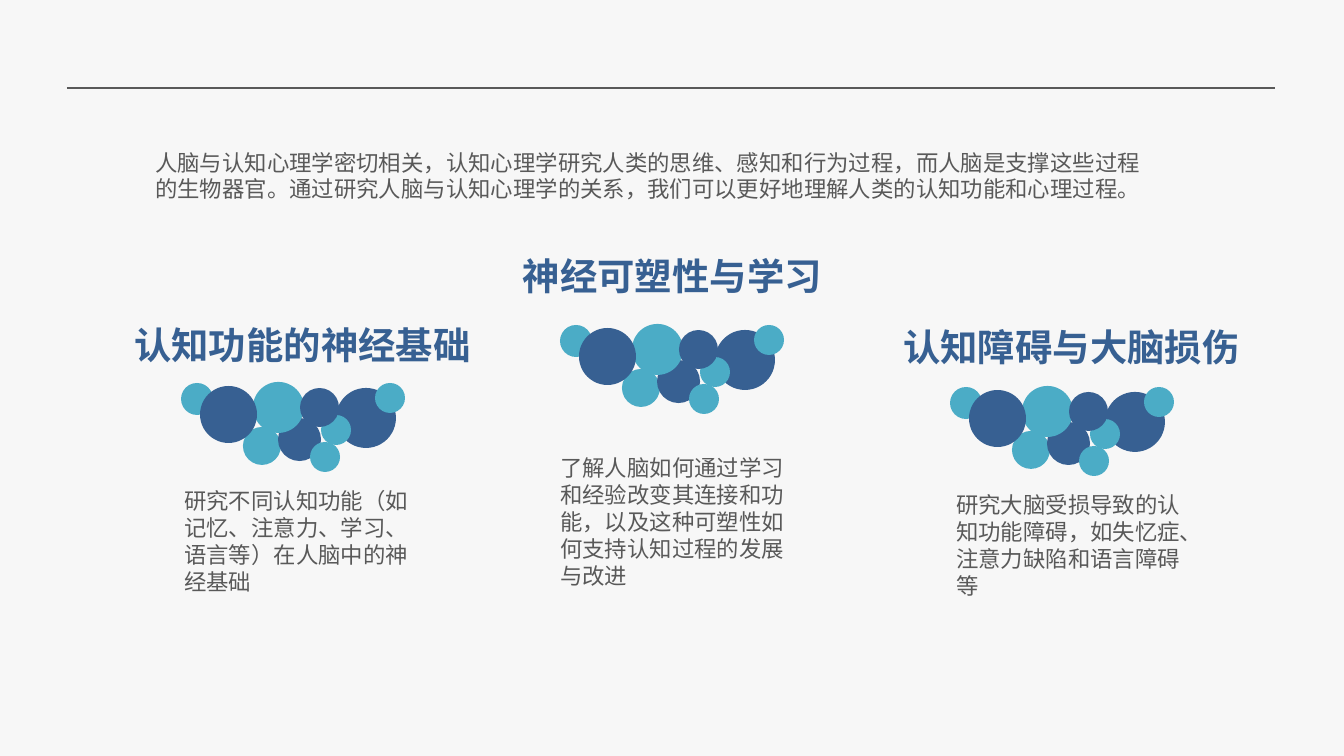
from lxml.etree import SubElement
from pptx import Presentation
from pptx.dml.color import RGBColor
from pptx.enum.shapes import MSO_CONNECTOR as Connector, MSO_SHAPE as Shape
from pptx.enum.text import MSO_AUTO_SIZE as AutoSize, PP_ALIGN as Align
from pptx.oxml.ns import qn
from pptx.util import Emu, Pt

EMU_PER_PX = 914400 / 134.4
NAVY, TEAL, GREY, PAPER = "376092", "4BACC6", "595959", "F7F7F7"


def px(length):
    return Emu(round(length * EMU_PER_PX))


def color(value):
    return RGBColor.from_string(value)


class SlideBuilder:
    font_name = "Noto Sans CJK SC"

    def __init__(self, slide):
        self.slide = slide
        slide.background.fill.solid()
        slide.background.fill.fore_color.rgb = color(PAPER)

    def rule(self, left, top, right):
        divider = self.slide.shapes.add_connector(
            Connector.STRAIGHT, px(left), px(top), px(right), px(top))
        divider.line.color.rgb = color(GREY)
        divider.line.width = Pt(0.75)
        SubElement(divider._element.spPr, qn("a:effectLst"))

    def text(self, box, lines, size=12, fill=GREY, bold=False, align=Align.LEFT, wrap=True):
        frame = self.slide.shapes.add_textbox(*map(px, box)).text_frame
        frame.word_wrap = wrap
        frame.auto_size = AutoSize.SHAPE_TO_FIT_TEXT
        for index, line in enumerate(lines):
            paragraph = frame.add_paragraph() if index else frame.paragraphs[0]
            paragraph.alignment = align
            paragraph.line_spacing = Pt(size * 1.2)
            run = paragraph.add_run()
            run.text = line
            run.font.size = Pt(size)
            run.font.bold = bold
            run.font.name = self.font_name
            run.font.color.rgb = color(fill)
            east_asian = SubElement(run.font._element, qn("a:ea"))
            east_asian.set("typeface", self.font_name)

    def heading(self, box, line):
        self.text(box, [line], 20, NAVY, True, Align.CENTER, False)

    def circle(self, group, kind, left, top, diameter, fill):
        shape = group.shapes.add_shape(kind, px(left), px(top), px(diameter), px(diameter))
        shape.shadow.inherit = False
        shape.fill.solid()
        shape.fill.fore_color.rgb = color(fill)
        shape.line.fill.background()
        return shape

    def cluster(self, left, top, bubbles):
        group = self.slide.shapes.add_group_shape()
        for dx, dy, diameter, fill, ringed in bubbles:
            x, y = left + dx, top + dy
            if ringed:
                ring = self.circle(group, Shape.DONUT, x, y, diameter, fill)
                ring.adjustments[0] = 0.05
                self.circle(group, Shape.OVAL, x + 1, y + 1, diameter - 2, fill)
            else:
                self.circle(group, Shape.OVAL, x, y, diameter, fill)


BUBBLES = [
    (155, 6, 60, NAVY, True),
    (0, 1, 32, TEAL, True),
    (62, 45, 38, TEAL, True),
    (194, 1, 30, TEAL, False),
    (140, 33, 30, TEAL, False),
    (97, 36, 43, NAVY, True),
    (129, 60, 30, TEAL, False),
    (72, 0, 51, TEAL, True),
    (119, 6, 39, NAVY, False),
    (19, 4, 57, NAVY, True),
]

INTRO = [
    "人脑与认知心理学密切相关，认知心理学研究人类的思维、感知和行为过程，而人脑是支撑这些过程",
    "的生物器官。通过研究人脑与认知心理学的关系，我们可以更好地理解人类的认知功能和心理过程。",
]

TOPICS = [
    ("认知功能的神经基础", (113, 316, 379, 59), (181, 382), (171, 481, 258, 122),
     "研究不同认知功能（如记忆、注意力、学习、语言等）在人脑中的神经基础"),
    ("神经可塑性与学习", (508, 247, 329, 59), (560, 324), (547, 448, 258, 149),
     "了解人脑如何通过学习和经验改变其连接和功能，以及这种可塑性如何支持认知过程的发展与改进"),
    ("认知障碍与大脑损伤", (888, 318, 367, 59), (950, 386), (943, 485, 258, 122),
     "研究大脑受损导致的认知功能障碍，如失忆症、注意力缺陷和语言障碍等"),
]


def main():
    deck = Presentation()
    deck.slide_width, deck.slide_height = px(1344), px(756)
    builder = SlideBuilder(deck.slides.add_slide(deck.slide_layouts[6]))
    builder.rule(67, 88, 1275)
    builder.text((142, 142, 1023, 95), INTRO, wrap=False)
    for topic, heading_box, origin, body_box, description in TOPICS:
        builder.heading(heading_box, topic)
        builder.cluster(*origin, BUBBLES)
        builder.text(body_box, [description])
    deck.save("out.pptx")


if __name__ == "__main__":
    main()
